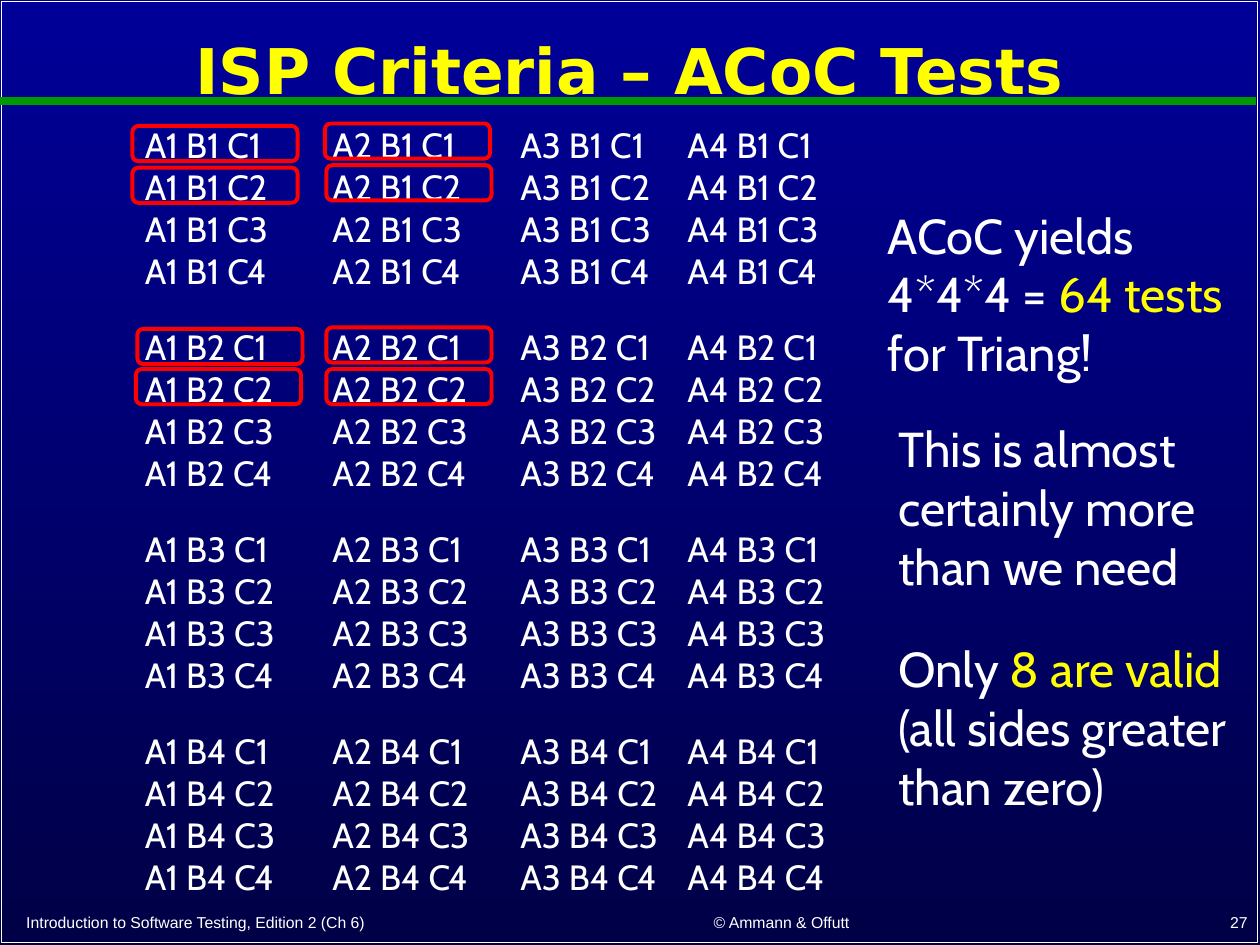
from lxml import etree
from pptx import Presentation, util as u
from pptx.dml.color import RGBColor
from pptx.enum import shapes, text
from pptx.oxml.ns import qn

# Content
TITLE = "ISP Criteria – ACoC Tests"
BLOCKS = ["A1", "A2", "A3", "A4"], ["B1", "B2", "B3", "B4"], ["C1", "C2", "C3", "C4"]
# (left, top, runs); a run is (text, colour name)
REMARKS = [
    (17.65, 4.01, [("ACoC yields 4*4*4 = ", "text"), ("64 tests ", "accent"),
                   ("for Triang!", "text")]),
    (17.86, 8.31, [("This is almost certainly more than we need", "text")]),
    (17.86, 12.75, [("Only ", "text"), ("8 are valid ", "accent"),
                    ("(all sides greater than zero)", "text")]),
]
# (text, box, alignment)
FOOTER = [
    ("Introduction to Software Testing, Edition 2 (Ch 6)", (0.28, 18.24, 10.95, 0.66), "LEFT"),
    ("© Ammann & Offutt", (11.73, 18.21, 8.05, 0.69), "CENTER"),
    ("27", (20.12, 18.19, 5.28, 0.71), "RIGHT"),
]

THEME = {
    "text": "FFFFFF", "accent": "FFFF00", "rule": "009900", "ring": "FF0000",
    "top": "000099", "bottom": "000047",
    "title_font": "DejaVu Sans", "body_font": "Cabin", "footer_font": "Arial",
    "title_size": 36, "remark_size": 28, "test_size": 20, "footer_size": 9,
}

# Places in cm
COLUMN_LEFTS = [2.67, 6.45, 10.24, 13.61]
COLUMN_TOP, COLUMN_WIDTH, COLUMN_HEIGHT = 2.36, 3.35, 16.51
BLOCK_GAP = 19.4  # points
REMARK_SIZE = (7.34, 3.84)
RING_SIZE = (3.33, 0.71)
VALID_RINGS = [
    (2.67, 2.54), (6.55, 2.49), (2.67, 3.38), (6.58, 3.33),
    (2.77, 6.63), (6.58, 6.6), (2.74, 7.44), (6.58, 7.44),
]


def colour(name):
    return RGBColor.from_string(THEME[name])


def cm(*lengths):
    return [u.Cm(length) for length in lengths]


def add_text(slide, paragraphs, box, *, role, font="body", align="LEFT", anchor="TOP",
             bold=False, wrap=True, grow=False, line_spacing=None, gaps=()):
    """Each paragraph is a list of (text, colour) runs; gaps maps index to space before."""
    frame = slide.shapes.add_textbox(*cm(*box)).text_frame
    frame.word_wrap = wrap
    frame.vertical_anchor = text.MSO_ANCHOR[anchor]
    if grow:
        frame.auto_size = text.MSO_AUTO_SIZE.SHAPE_TO_FIT_TEXT
    for index, runs in enumerate(paragraphs):
        paragraph = frame.add_paragraph() if index else frame.paragraphs[0]
        paragraph.alignment = text.PP_ALIGN[align]
        if line_spacing:
            paragraph.line_spacing = line_spacing
        if index in gaps:
            paragraph.space_before = u.Pt(BLOCK_GAP)
        for words, shade in runs:
            run = paragraph.add_run()
            run.text = words
            run.font.name = THEME[f"{font}_font"]
            run.font.size = u.Pt(THEME[f"{role}_size"])
            run.font.bold = bold
            run.font.color.rgb = colour(shade)


def add_outline(slide, kind, box, shade, weight):
    outline = slide.shapes.add_shape(kind, *cm(*box))
    outline.shadow.inherit = False
    outline.fill.background()
    outline.line.color.rgb = colour(shade)
    outline.line.width = u.Pt(weight)


def main():
    deck = Presentation()
    deck.slide_width, deck.slide_height = cm(25.4, 19.05)
    slide = deck.slides.add_slide(deck.slide_layouts[6])

    # Background, frame and rule
    backdrop = slide.background.fill
    backdrop.gradient()
    backdrop.gradient_angle = 270
    for stop, shade in zip(backdrop.gradient_stops, ("top", "bottom")):
        stop.color.rgb = colour(shade)
    add_outline(slide, shapes.MSO_SHAPE.RECTANGLE, (0.03, 0.03, 25.32, 18.97), "text", 1)
    rule = slide.shapes.add_connector(shapes.MSO_CONNECTOR.STRAIGHT, *cm(0, 2.03, 25.32, 2.03))
    rule.line.color.rgb = colour("rule")
    rule.line.width = u.Pt(4.5)
    etree.SubElement(rule._element.spPr, qn("a:effectLst"))

    # Title and footer
    add_text(slide, [[(TITLE, "accent")]], (0.03, 0.28, 25.32, 2.41), role="title",
             font="title", align="CENTER", anchor="MIDDLE", bold=True, line_spacing=0.9)
    for words, box, align in FOOTER:
        add_text(slide, [[(words, "text")]], box, role="footer", font="footer",
                 align=align, anchor="BOTTOM", wrap=False)

    # One column of tests per A block
    a_blocks, b_blocks, c_blocks = BLOCKS
    block_starts = range(len(c_blocks), len(b_blocks) * len(c_blocks), len(c_blocks))
    for a, left in zip(a_blocks, COLUMN_LEFTS):
        tests = [[(f"{a} {b} {c}", "text")] for b in b_blocks for c in c_blocks]
        add_text(slide, tests, (left, COLUMN_TOP, COLUMN_WIDTH, COLUMN_HEIGHT),
                 role="test", wrap=False, grow=True, gaps=block_starts)

    # Remarks
    for left, top, runs in REMARKS:
        add_text(slide, [runs], (left, top, *REMARK_SIZE), role="remark", grow=True)

    # Rings around the valid tests
    for place in VALID_RINGS:
        add_outline(slide, shapes.MSO_SHAPE.ROUNDED_RECTANGLE, (*place, *RING_SIZE), "ring", 2.25)

    deck.save("out.pptx")


if __name__ == "__main__":
    main()
